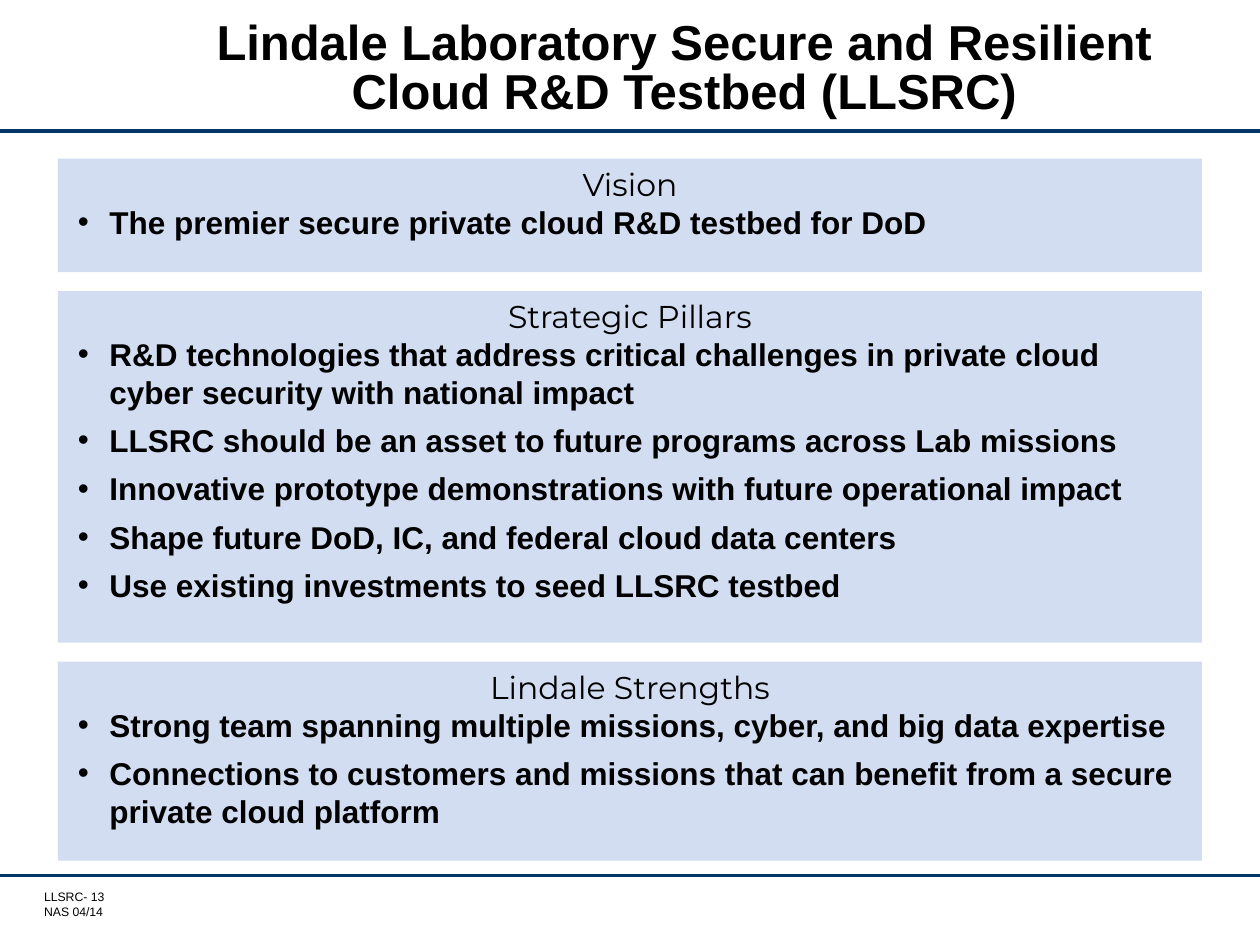
from lxml.etree import SubElement
from pptx import Presentation
from pptx.dml.color import RGBColor
from pptx.enum.shapes import MSO_CONNECTOR, MSO_SHAPE
from pptx.enum.text import MSO_ANCHOR, PP_ALIGN
from pptx.oxml.ns import qn
from pptx.util import Inches, Pt

BLACK = RGBColor(0x00, 0x00, 0x00)
NAVY = RGBColor(0x00, 0x37, 0x67)
PALE_BLUE = RGBColor(0xD2, 0xDD, 0xF2)


def write(para, text, size=18, font="Arial", bold=False, align=PP_ALIGN.LEFT,
          after=0, line=None, bullet=False):
    para.alignment = align
    para.space_before = Pt(0)
    para.space_after = Pt(after)
    para.line_spacing = line
    span = para.add_run()
    span.text = text
    span.font.size = Pt(size)
    span.font.name = font
    span.font.bold = bold
    span.font.color.rgb = BLACK
    if bullet:
        properties = para._p.get_or_add_pPr()
        properties.set("marL", str(Inches(0.31)))
        properties.set("indent", str(Inches(-0.25)))
        SubElement(properties, qn("a:buFont"), typeface="Arial")
        SubElement(properties, qn("a:buChar"), char="•")


deck = Presentation()
deck.slide_width = Inches(10)
deck.slide_height = Inches(7.5)
page = deck.slides.add_slide(deck.slide_layouts[5])

title = page.shapes.title
title.left, title.top = Inches(1.19), Inches(0.14)
title.width, title.height = Inches(8.48), Inches(0.83)
title.text_frame.word_wrap = True
title.text_frame.vertical_anchor = MSO_ANCHOR.MIDDLE
write(title.text_frame.paragraphs[0],
      "Lindale Laboratory Secure and Resilient Cloud R&D Testbed (LLSRC)",
      size=28, bold=True, align=PP_ALIGN.CENTER, line=Pt(28))

for y in (1.04, 6.95):
    rule = page.shapes.add_connector(
        MSO_CONNECTOR.STRAIGHT, Inches(0), Inches(y), Inches(10), Inches(y))
    rule.line.color.rgb = NAVY
    rule.line.width = Pt(1.75)
    SubElement(rule._element.spPr, qn("a:effectLst"))

panels = [
    ("Vision", 1.26, 0.9, 0, [
        "The premier secure private cloud R&D testbed for DoD",
    ]),
    ("Strategic Pillars", 2.31, 2.79, 6, [
        "R&D technologies that address critical challenges in private cloud "
        "cyber security with national impact",
        "LLSRC should be an asset to future programs across Lab missions",
        "Innovative prototype demonstrations with future operational impact",
        "Shape future DoD, IC, and federal cloud data centers",
        "Use existing investments to seed LLSRC testbed",
    ]),
    ("Lindale Strengths", 5.25, 1.58, 6, [
        "Strong team spanning multiple missions, cyber, and big data expertise",
        "Connections to customers and missions that can benefit from a secure "
        "private cloud platform",
    ]),
]
for heading, top, height, after, points in panels:
    panel = page.shapes.add_shape(
        MSO_SHAPE.RECTANGLE, Inches(0.46), Inches(top), Inches(9.08), Inches(height))
    panel.shadow.inherit = False
    panel.fill.solid()
    panel.fill.fore_color.rgb = PALE_BLUE
    panel.line.fill.background()
    frame = panel.text_frame
    frame.word_wrap = True
    frame.vertical_anchor = MSO_ANCHOR.TOP
    write(frame.paragraphs[0], heading, font="Montserrat", align=PP_ALIGN.CENTER)
    for point in points:
        write(frame.add_paragraph(), point, bold=True, after=after, bullet=True)

footer = page.shapes.add_textbox(Inches(0.35), Inches(7.06), Inches(1.19), Inches(0.24))
frame = footer.text_frame
frame.word_wrap = True
frame.margin_left = frame.margin_right = frame.margin_top = frame.margin_bottom = 0
write(frame.paragraphs[0], "LLSRC- 13", size=7)
write(frame.add_paragraph(), "NAS 04/14", size=7)

deck.save("out.pptx")
